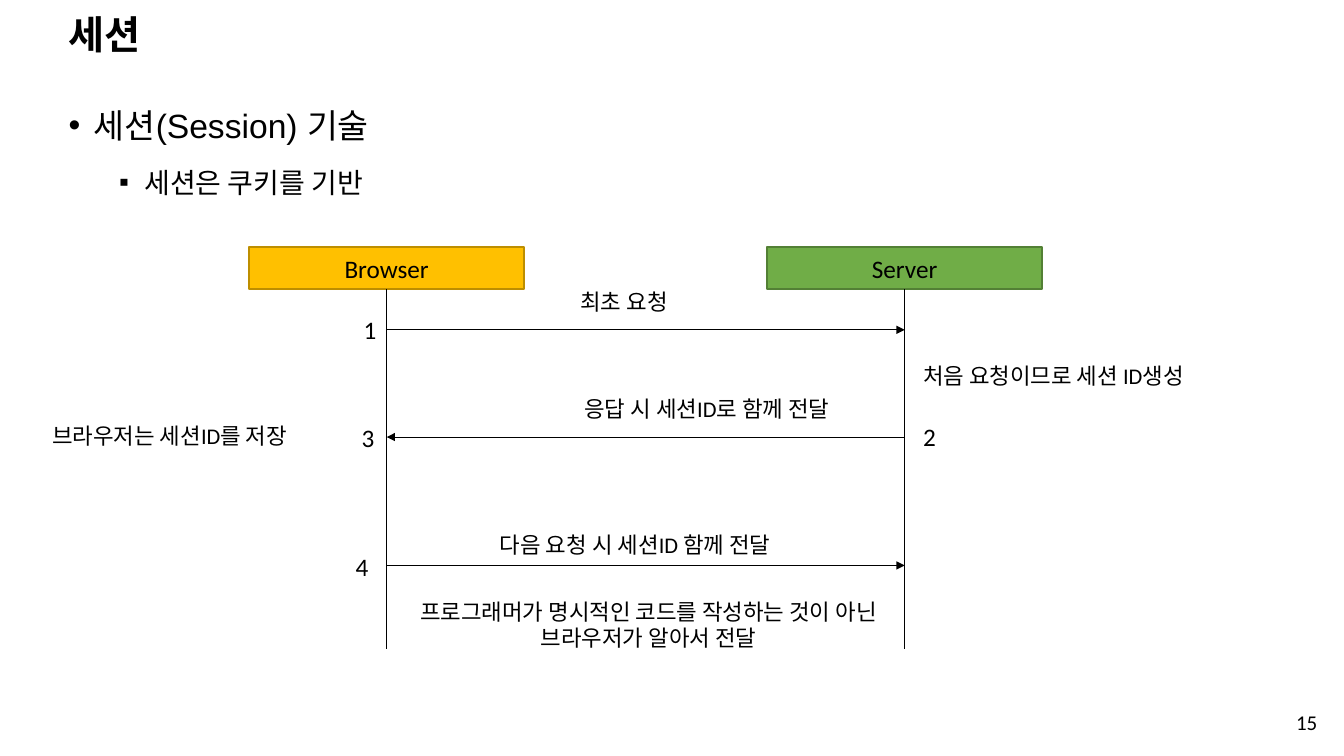
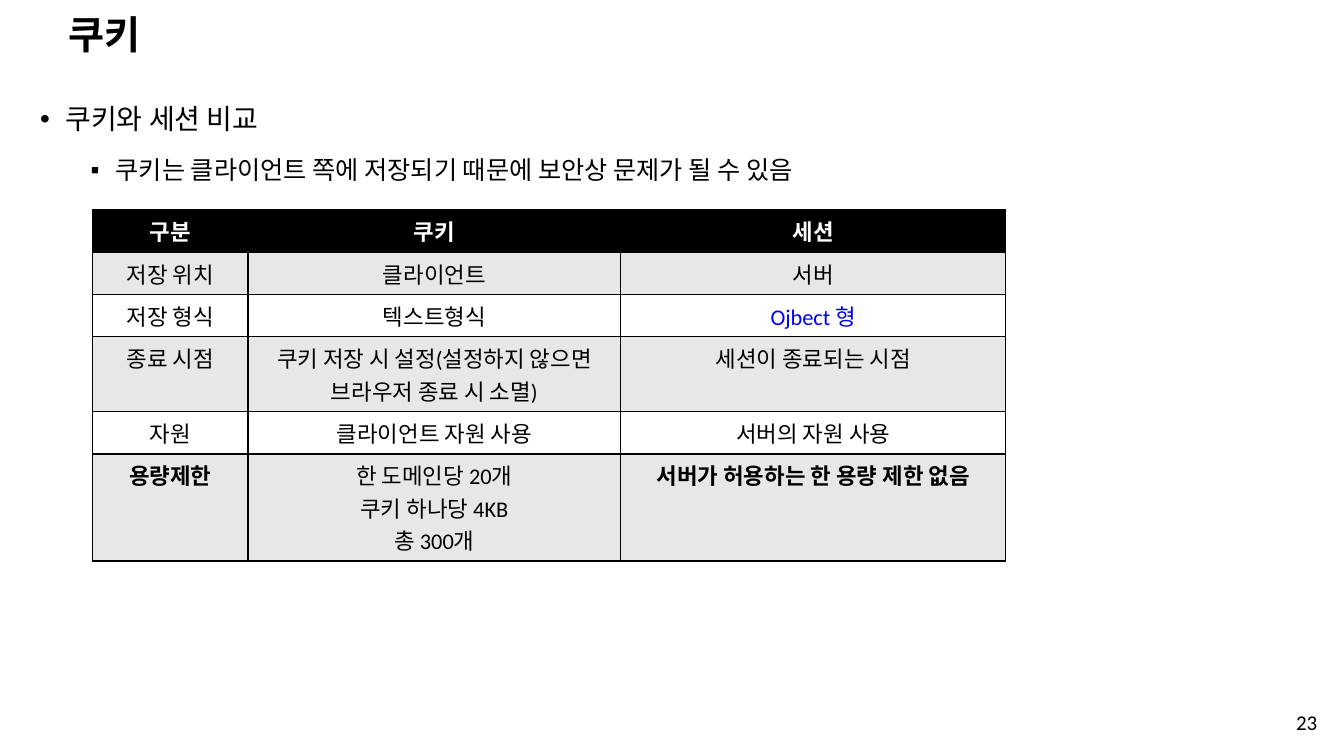
from lxml import etree
from pptx import Presentation
from pptx.dml.color import RGBColor
from pptx.enum import shapes, text
from pptx.oxml import ns
from pptx.util import Pt

BLACK = RGBColor(0x00, 0x00, 0x00)
WHITE = RGBColor(0xFF, 0xFF, 0xFF)
GRAY = RGBColor(0xE7, 0xE7, 0xE7)
BLUE = RGBColor(0x00, 0x00, 0xFF)
GOLD = RGBColor(0xFF, 0xC0, 0x00)
DARK_GOLD = RGBColor(0xBD, 0x8E, 0x00)
GREEN = RGBColor(0x70, 0xAD, 0x47)
DARK_GREEN = RGBColor(0x53, 0x80, 0x35)

LEFT, CENTER, RIGHT = text.PP_ALIGN.LEFT, text.PP_ALIGN.CENTER, text.PP_ALIGN.RIGHT
TOP, MIDDLE = text.MSO_ANCHOR.TOP, text.MSO_ANCHOR.MIDDLE


def add_text(slide, box, words, size, font="Calibri", align=LEFT, anchor=TOP, wrap=False, bold=False):
    frame = slide.shapes.add_textbox(*[Pt(length) for length in box]).text_frame
    frame.word_wrap = wrap
    frame.vertical_anchor = anchor
    frame.text = words
    for paragraph in frame.paragraphs:
        paragraph.alignment = align
        for run in paragraph.runs:
            run.font.name, run.font.size, run.font.bold = font, Pt(size), bold
            run.font.color.rgb = BLACK
    return frame


def add_line(slide, start, end, arrow=False):
    line = slide.shapes.add_connector(
        shapes.MSO_CONNECTOR.STRAIGHT, *[Pt(length) for length in start + end])
    line.line.color.rgb = BLACK
    line.line.width = Pt(0.5)
    if arrow:
        etree.SubElement(line.line._get_or_add_ln(), ns.qn("a:tailEnd"), type="triangle")
    etree.SubElement(line._element.spPr, ns.qn("a:effectLst"))


presentation = Presentation()
presentation.slide_width, presentation.slide_height = Pt(960), Pt(540)

# Shared title, bullets and page number
pages = [
    ("세션", "15", 42, [("세션(Session) 기술", 24), ("세션은 쿠키를 기반", 20)]),
    ("쿠키", "23", 21.6, [("쿠키와 세션 비교", 20),
                        ("쿠키는 클라이언트 쪽에 저장되기 때문에 보안상 문제가 될 수 있음", 18)]),
]
bullet_levels = [("•", 18, 0), ("▪", 54, 5)]
for title, number, body_left, bullets in pages:
    slide = presentation.slides.add_slide(presentation.slide_layouts[6])
    frame = add_text(slide, (42, 12.4, 828, 27.4), title, 28, "Arial", anchor=MIDDLE, wrap=True, bold=True)
    frame.paragraphs[0].line_spacing = 0.9

    body = add_text(slide, (body_left, 59.6, 890, 452), "\n".join(words for words, size in bullets),
                    20, "Arial", wrap=True)
    for paragraph, (words, size), (mark, margin, space) in zip(body.paragraphs, bullets, bullet_levels):
        properties = paragraph._p.get_or_add_pPr()
        properties.set("marL", str(Pt(margin)))
        properties.set("indent", str(Pt(-18)))
        etree.SubElement(properties, ns.qn("a:buFont"), typeface="Arial")
        etree.SubElement(properties, ns.qn("a:buChar"), char=mark)
        paragraph.line_spacing = 1.4
        paragraph.space_before = Pt(space)
        paragraph.runs[0].font.size = Pt(size)

    add_text(slide, (678, 500.8, 270, 30), number, 15, align=RIGHT, anchor=MIDDLE, wrap=True)

session_slide, cookie_slide = presentation.slides

# Sequence diagram: participants and lifelines
browser_x, server_x = 276.2, 646.2
head_top, head_width, head_height, lifeline_end = 176.4, 196.4, 30.2, 463.7
participants = [("Browser", browser_x, GOLD, DARK_GOLD), ("Server", server_x, GREEN, DARK_GREEN)]
for name, x, fill, outline in participants:
    head = session_slide.shapes.add_shape(
        shapes.MSO_SHAPE.RECTANGLE, Pt(x - head_width / 2), Pt(head_top), Pt(head_width), Pt(head_height))
    head.shadow.inherit = False
    head.fill.solid()
    head.fill.fore_color.rgb = fill
    head.line.color.rgb = outline
    head.line.width = Pt(1)
    head.text_frame.text = name
    head.text_frame.vertical_anchor = MIDDLE
    paragraph = head.text_frame.paragraphs[0]
    paragraph.alignment = CENTER
    font = paragraph.runs[0].font
    font.name, font.size, font.color.rgb = "Calibri", Pt(18), BLACK
    add_line(session_slide, (x, head_top + head_height), (x, lifeline_end))

# Messages
for start, end, y in [(browser_x, server_x, 235.6), (server_x, browser_x, 312.2),
                      (browser_x, server_x, 403.9)]:
    add_line(session_slide, (start, y), (end, y), arrow=True)

# Step numbers
for number, left, top in [("1", 252.7, 221), ("2", 652.3, 297.4), ("3", 251.3, 298), ("4", 247, 390.2)]:
    add_text(session_slide, (left, top, 23.8, 28.8), number, 18)

# Step descriptions
for words, left, top, width in [
    ("최초 요청", 407.5, 202.3, 82.8),
    ("처음 요청이므로 세션 ID생성", 652.3, 255.4, 217.4),
    ("응답 시 세션ID로 함께 전달", 410.4, 278.6, 204.5),
    ("브라우저는 세션ID를 저장", 30.2, 298, 197.3),
    ("다음 요청 시 세션ID 함께 전달", 350, 375.8, 224.6),
]:
    add_text(session_slide, (left, top, width, 26.6), words, 16)
add_text(session_slide, (277.2, 423.4, 372.2, 46),
         "프로그래머가 명시적인 코드를 작성하는 것이 아닌\n브라우저가 알아서 전달", 16, align=CENTER)

# Comparison table
rows = [
    ("구분", "쿠키", "세션"),
    ("저장 위치", "클라이언트", "서버"),
    ("저장 형식", "텍스트형식", "Ojbect 형"),
    ("종료 시점", "쿠키 저장 시 설정(설정하지 않으면 브라우저 종료 시 소멸)", "세션이 종료되는 시점"),
    ("자원", "클라이언트 자원 사용", "서버의 자원 사용"),
    ("용량제한", "한 도메인당 20개\n쿠키 하나당 4KB\n총 300개", "서버가 허용하는 한 용량 제한 없음"),
]
bold_cells = {(0, 0), (0, 1), (0, 2), (5, 0), (5, 2)}
column_widths = [110.9, 266.4, 275]
line_height, cell_padding = 23.1, 7.2
row_lines = [1, 1, 1, 2, 1, 3]
row_heights = [lines * line_height + cell_padding for lines in row_lines]
table = cookie_slide.shapes.add_table(
    len(rows), len(column_widths), Pt(66.2), Pt(149.8),
    Pt(sum(column_widths)), Pt(sum(row_heights))).table
for column, width in zip(table.columns, column_widths):
    column.width = Pt(width)
for r, row in enumerate(rows):
    table.rows[r].height = Pt(row_heights[r])
    for c, words in enumerate(row):
        cell = table.cell(r, c)
        properties = cell._tc.get_or_add_tcPr()
        for side in ("lnL", "lnR", "lnT", "lnB"):
            border = etree.SubElement(properties, ns.qn("a:" + side), w=str(Pt(1)))
            solid = etree.SubElement(border, ns.qn("a:solidFill"))
            etree.SubElement(solid, ns.qn("a:srgbClr"), val=str(BLACK))
        cell.fill.solid()
        cell.fill.fore_color.rgb = BLACK if r == 0 else GRAY if r % 2 else WHITE
        cell.text_frame.text = words
        for paragraph in cell.text_frame.paragraphs:
            paragraph.alignment = CENTER
            font = paragraph.runs[0].font
            font.name, font.size, font.bold = "Calibri", Pt(16), (r, c) in bold_cells
            font.color.rgb = WHITE if r == 0 else BLUE if (r, c) == (2, 2) else BLACK

presentation.save("out.pptx")
